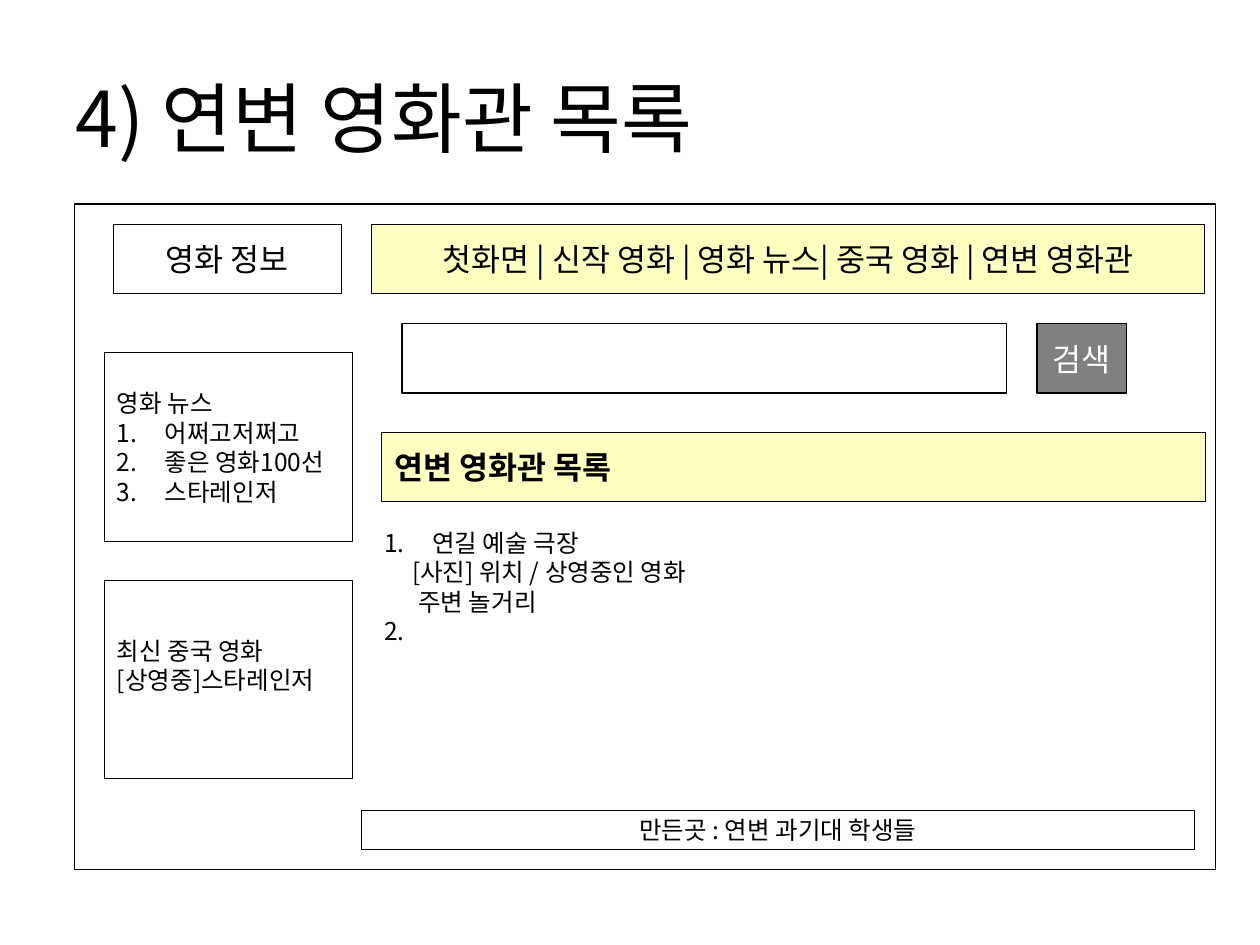
import pptx
import pptx.util
import pptx.dml.color
import pptx.enum.shapes
import pptx.enum.text
import pptx.oxml.ns
import lxml.etree

RGBColor = pptx.dml.color.RGBColor
Inches = pptx.util.Inches
ALIGN = pptx.enum.text.PP_ALIGN
ANCHOR = pptx.enum.text.MSO_ANCHOR
qn = pptx.oxml.ns.qn

BLACK = RGBColor(0x00, 0x00, 0x00)
WHITE = RGBColor(0xFF, 0xFF, 0xFF)
GRAY = RGBColor(0x80, 0x80, 0x80)
YELLOW = RGBColor(0xFF, 0xFF, 0x99)
FONT = "Noto Sans CJK KR"
HANG = 0.38  # width of the number column in lists


def write(tf, lines, size=18, color=BLACK, bold=False, align=ALIGN.LEFT,
          anchor=ANCHOR.MIDDLE, wrap=False):
    """Fill a text frame; each line is (text, list number or None, left indent)."""
    tf.auto_size = pptx.enum.text.MSO_AUTO_SIZE.NONE
    tf.word_wrap = wrap
    tf.vertical_anchor = anchor
    for i, (text, number, indent) in enumerate(lines):
        p = tf.paragraphs[0] if i == 0 else tf.add_paragraph()
        p.alignment = align
        p.space_before = pptx.util.Pt(0)
        r = p.add_run()
        r.text = text
        r.font.size = pptx.util.Pt(size)
        r.font.bold = bold
        r.font.color.rgb = color
        r.font.name = FONT
        lxml.etree.SubElement(r.font._element, qn("a:ea"), typeface=FONT)
        pPr = p._p.get_or_add_pPr()
        pPr.set("marL", str(Inches(HANG if number else indent)))
        pPr.set("indent", str(Inches(-HANG if number else 0)))
        if number:
            bullet = lxml.etree.SubElement(pPr, qn("a:buAutoNum"), type="arabicPeriod")
            if number > 1 and lines[i - 1][1] is None:
                bullet.set("startAt", str(number))
        else:
            lxml.etree.SubElement(pPr, qn("a:buNone"))


def box(left, top, width, height, fill=None, alpha=None):
    """Add a thin black outlined rectangle."""
    sp = s.shapes.add_shape(pptx.enum.shapes.MSO_SHAPE.RECTANGLE,
                            Inches(left), Inches(top), Inches(width), Inches(height))
    sp.shadow.inherit = False
    sp.line.color.rgb = BLACK
    sp.line.width = pptx.util.Pt(0.75)
    if fill is None:
        sp.fill.background()
    else:
        sp.fill.solid()
        sp.fill.fore_color.rgb = fill
    if alpha:
        clr = sp._element.spPr.find(qn("a:solidFill")).find(qn("a:srgbClr"))
        lxml.etree.SubElement(clr, qn("a:alpha"), val=str(alpha * 1000))
    return sp


prs = pptx.Presentation()
prs.slide_width, prs.slide_height = Inches(10), Inches(7.5)
s = prs.slides.add_slide(prs.slide_layouts[1])

# Grid of the page mock-up
SIDE, SIDE_W = 0.83, 1.97
MAIN, MAIN_W = 2.95, 6.61
BAR_H = 0.55
MENU_Y, SEARCH_Y, HEADING_Y = 1.78, 2.57, 3.43

# Title
title = s.shapes.title
title.left, title.top, title.width, title.height = map(Inches, (0.5, 0.3, 9, 1.25))
write(title.text_frame, [("4) 연변 영화관 목록", None, 0)], size=44, wrap=True)

# Page frame
box(0.59, 1.62, 9.06, 5.28)

# Single-line bars: place, fill, text and its format
bars = [
    ((0.9, MENU_Y, 1.81, BAR_H), None, None, "영화 정보", {}),
    ((MAIN, MENU_Y, MAIN_W, BAR_H), YELLOW, 61,
     "첫화면 | 신작 영화 | 영화 뉴스| 중국 영화 | 연변 영화관", {}),
    ((8.23, SEARCH_Y, 0.71, BAR_H), GRAY, None, "검색", {"color": WHITE}),
    ((3.03, HEADING_Y, 6.54, BAR_H), YELLOW, 61, "연변 영화관 목록",
     {"bold": True, "align": ALIGN.LEFT}),
    ((2.87, 6.43, MAIN_W, 0.31), None, None, "만든곳 : 연변 과기대 학생들", {"size": 14}),
]
for place, fill, alpha, text, style in bars:
    sp = box(*place, fill=fill, alpha=alpha)
    write(sp.text_frame, [(text, None, 0)], **{"align": ALIGN.CENTER, **style})

# Search field
box(3.19, SEARCH_Y, 4.8, BAR_H)

# Side panels
news = box(SIDE, 2.8, SIDE_W, 1.5)
write(news.text_frame, [("영화 뉴스", None, 0), ("어쩌고저쩌고", 1, 0),
                        ("좋은 영화100선", 2, 0), ("스타레인저", 3, 0)], size=14)
latest = box(SIDE, 4.61, SIDE_W, 1.57)
write(latest.text_frame, [("최신 중국 영화", None, 0),
                          ("[상영중]스타레인저", None, 0)], size=14)
latest.text_frame.margin_bottom = Inches(0.28)

# Theatre list
body = s.placeholders[1]
body.left, body.top, body.width, body.height = map(Inches, (MAIN, 4.14, 6.56, 1.27))
write(body.text_frame, [("연길 예술 극장", 1, 0),
                        ("[사진] 위치 / 상영중인 영화", None, 0.22),
                        ("주변 놀거리", None, 0.27),
                        (" ", 2, 0)], size=14, anchor=ANCHOR.TOP, wrap=True)

prs.save("out.pptx")
